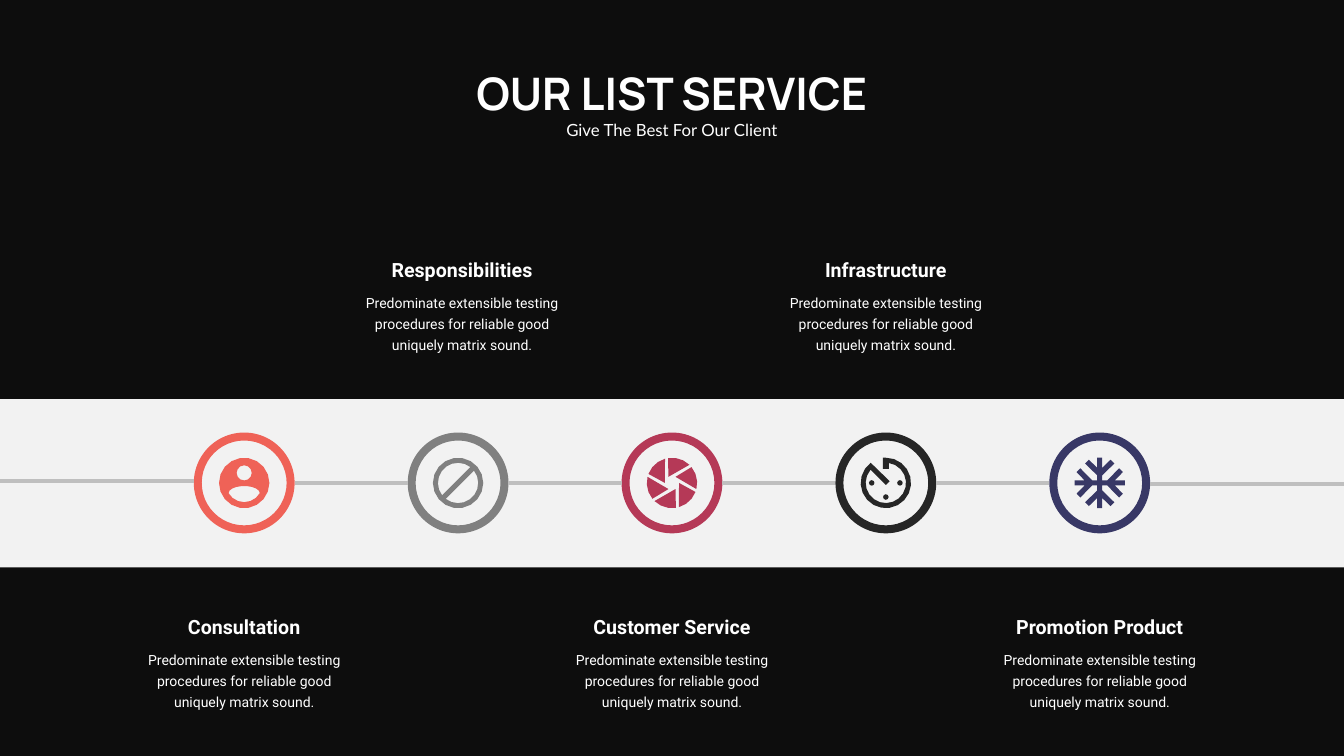
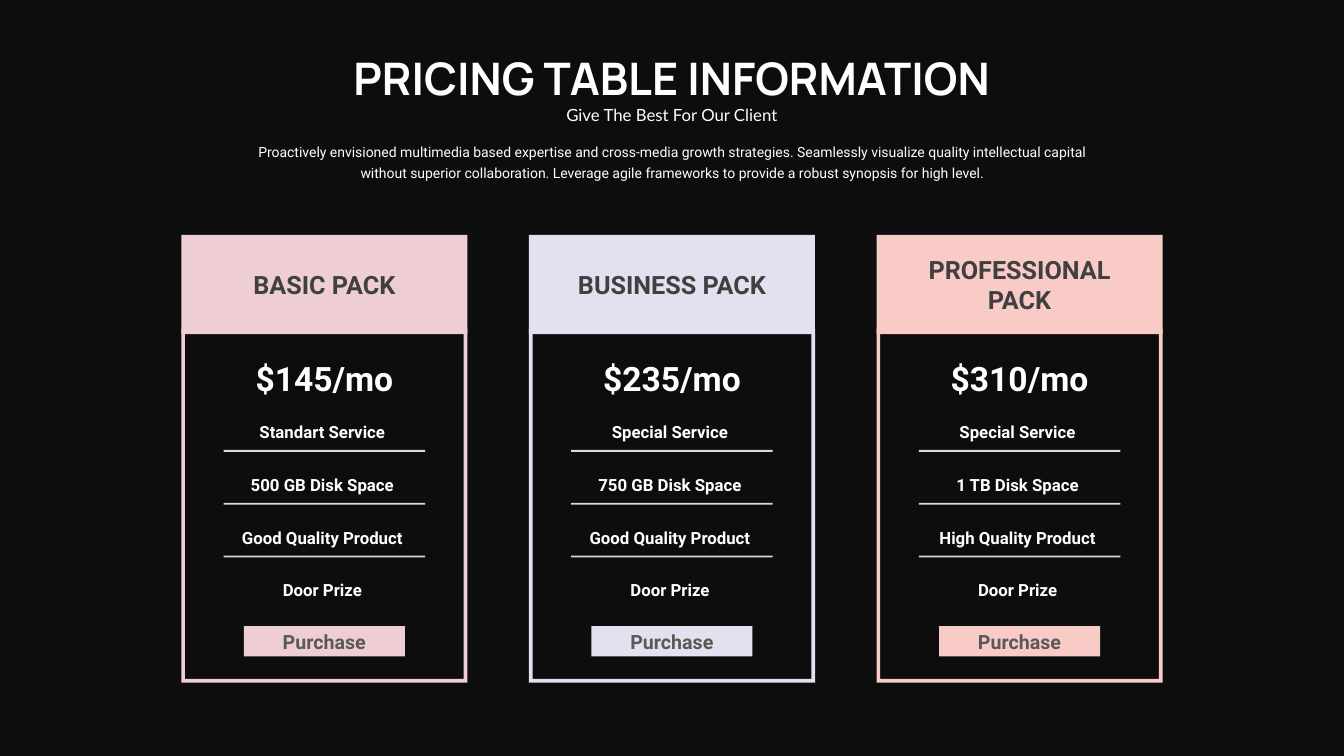
from dataclasses import dataclass
from math import ceil, cos, radians, sin

from lxml.etree import SubElement
from pptx import Presentation
from pptx.dml.color import RGBColor
from pptx.enum.shapes import MSO_CONNECTOR, MSO_SHAPE
from pptx.enum.text import MSO_ANCHOR, PP_ALIGN
from pptx.oxml.ns import qn
from pptx.util import Cm, Pt


@dataclass(frozen=True)
class Theme:
    backdrop: str = "0D0D0D"
    white: str = "FFFFFF"
    band: str = "F2F2F2"
    link: str = "BFBFBF"
    rule: str = "D9D9D9"
    pack_text: str = "404040"
    button_text: str = "595959"
    coral: str = "EF6257"
    gray: str = "808080"
    crimson: str = "B53957"
    charcoal: str = "262626"
    navy: str = "383866"
    pink: str = "EFCDD5"
    lavender: str = "E1E1EF"
    peach: str = "F9CBC7"
    title_font: str = "Manrope"
    subtitle_font: str = "Lato"
    body_font: str = "Roboto"
    title: int = 32
    price: int = 24
    pack: int = 18
    heading: int = 14
    label: int = 12
    body: int = 10
    title_leading: int = 35
    body_leading: int = 15


T = Theme()
WIDTH, HEIGHT = 33.87, 19.05
MIDDLE = WIDTH / 2


def color(value):
    return RGBColor.from_string(value)


def write(sp, text, size=T.body, fill=T.white, font=T.body_font, bold=False,
          leading=None, anchor=MSO_ANCHOR.TOP):
    tf = sp.text_frame
    tf.word_wrap = True
    tf.vertical_anchor = anchor
    tf.margin_left = tf.margin_right = tf.margin_top = tf.margin_bottom = 0
    p = tf.paragraphs[0]
    p.alignment = PP_ALIGN.CENTER
    if leading:
        p.line_spacing = Pt(leading)
    r = p.add_run()
    r.text = text
    r.font.name = font
    r.font.size = Pt(size)
    r.font.bold = bold
    r.font.color.rgb = color(fill)


def arc(cx, cy, radius, start, end, ry=None, step=20):
    count = ceil(abs(end - start) / step)
    angles = [radians(start + (end - start) * i / count) for i in range(count + 1)]
    return [(cx + radius * cos(a), cy + (ry or radius) * sin(a)) for a in angles]


def circle(cx, cy, radius, step=20):
    return arc(cx, cy, radius, 0, 360, step=step)[:-1]


def person_icon():
    torso = arc(0, 0.04, 0.72, 30, 150) + arc(0, 0.4, 0.62, 180, 360, ry=0.28)
    return [circle(0, 0, 1), circle(0, -0.4, 0.3, 30), torso]


def ban_icon():
    return [circle(0, 0, 1), arc(0, 0, 0.8, -37.8, 127.8),
            arc(0, 0, 0.8, 142.2, 307.8)]


def shutter_icon():
    inner = circle(0, 0, 0.28, 60)
    return [arc(0, 0, 1, 21 + 60 * i, 74 + 60 * i) + [(x, y)]
            for i, (x, y) in enumerate(arc(0, 0, 0.28, 0, 300, step=60))]


def timer_icon():
    dial = (arc(0, 0, 1, -90, 233)
            + [(0.15, -0.07), (0, 0.08), (-0.6, -0.52)]
            + arc(0, 0, 0.8, 220, -81)
            + [(0.12, -0.56), (-0.12, -0.56), (-0.12, -1)])
    dots = [(-0.56, 0), (0.56, 0), (0, 0.56)]
    return [dial] + [circle(x, y, 0.11, 45) for x, y in dots]


def snowflake_icon():
    quarter = [(1, -0.1), (1, 0.1), (0.6, 0.1), (0.92, 0.43), (0.77, 0.58),
               (0.3, 0.1), (0.1, 0.1), (0.1, 0.3), (0.58, 0.77),
               (0.43, 0.92), (0.1, 0.6)]
    outline = []
    for _ in range(4):
        outline += quarter
        quarter = [(-y, x) for x, y in quarter]
    return [outline]


class Deck:
    def __init__(self):
        self.prs = Presentation()
        self.prs.slide_width = Cm(WIDTH)
        self.prs.slide_height = Cm(HEIGHT)
        self.slide()
        backdrop = self.rect(MIDDLE, 0, WIDTH, HEIGHT, T.backdrop)
        self.prs.slide_master.shapes._spTree.insert(2, backdrop._element)

    def slide(self):
        self.s = self.prs.slides.add_slide(self.prs.slide_layouts[6])

    def paint(self, sp, fill):
        sp.shadow.inherit = False
        sp.fill.solid()
        sp.fill.fore_color.rgb = color(fill)
        sp.line.fill.background()

    def shape(self, kind, cx, top, w, h, fill, adjust=None):
        sp = self.s.shapes.add_shape(kind, Cm(cx - w / 2), Cm(top), Cm(w), Cm(h))
        self.paint(sp, fill)
        if adjust is not None:
            sp.adjustments[0] = adjust
        return sp

    def rect(self, cx, top, w, h, fill):
        return self.shape(MSO_SHAPE.RECTANGLE, cx, top, w, h, fill)

    def text(self, text, cx, top, w, h, **style):
        sp = self.s.shapes.add_textbox(Cm(cx - w / 2), Cm(top), Cm(w), Cm(h))
        write(sp, text, **style)

    def title(self, title, subtitle, top):
        self.text(title, MIDDLE, top, 18.39, 1.24, size=T.title, bold=True,
                  font=T.title_font, leading=T.title_leading,
                  anchor=MSO_ANCHOR.MIDDLE)
        self.text(subtitle, MIDDLE, top + 1.25, 10.72, 0.51, size=T.label,
                  font=T.subtitle_font)

    def line(self, x1, x2, y):
        c = self.s.shapes.add_connector(MSO_CONNECTOR.STRAIGHT,
                                        Cm(x1), Cm(y), Cm(x2), Cm(y))
        c.line.color.rgb = color(T.link)
        c.line.width = Pt(3)
        SubElement(c._element.spPr, qn("a:effectLst"))

    def icon(self, contours, cx, cy, radius, fill):
        placed = [[(Cm(cx + x * radius), Cm(cy + y * radius)) for x, y in contour]
                  for contour in contours]
        first, *others = placed
        fb = self.s.shapes.build_freeform(*first[0])
        fb.add_line_segments(first[1:])
        for contour in others:
            fb.move_to(*contour[0])
            fb.add_line_segments(contour[1:])
        self.paint(fb.convert_to_shape(), fill)

    def service(self, name, description, cx, top):
        self.text(name, cx, top, 5.49, 0.61, size=T.heading, bold=True)
        self.text(description, cx, top + 0.82, 5.49, 1.55, leading=T.body_leading)

    def pack(self, cx, name, price, features, fill):
        self.shape(MSO_SHAPE.FRAME, cx, 8.28, 7.21, 8.92, fill, 0.013)
        self.rect(cx, 5.92, 7.21, 2.5, fill)
        self.rect(cx, 15.78, 4.06, 0.76, fill)
        self.text("Purchase", cx, 15.88, 3.56, 0.61, size=T.heading,
                  fill=T.button_text, bold=True)
        self.text(name, cx, 6.79, 6.05, 0.76, size=T.pack, fill=T.pack_text,
                  bold=True, anchor=MSO_ANCHOR.MIDDLE)
        for i, feature in enumerate(features):
            top = 10.63 + 1.33 * i
            if i < len(features) - 1:
                self.rect(cx, top + 0.71, 5.08, 0.05, T.rule)
            self.text(feature, cx - 0.05, top, 4.83, 0.51, size=T.label, bold=True)
        self.text(price, cx, 9.02, 4.11, 1.02, size=T.price, bold=True,
                  anchor=MSO_ANCHOR.MIDDLE)


SUBTITLE = "Give The Best For Our Client"


def services_slide(deck):
    services = [
        ("Consultation", person_icon, T.coral, 0),
        ("Responsibilities", ban_icon, T.gray, 0.1),
        ("Customer Service", shutter_icon, T.crimson, 0),
        ("Infrastructure", timer_icon, T.charcoal, 0),
        ("Promotion Product", snowflake_icon, T.navy, 0),
    ]
    description = ("Predominate extensible testing procedures for reliable good "
                   "uniquely matrix sound.")
    pitch, axis, ring = 5.39, 12.17, 2.54
    centers = [MIDDLE + (i - 2) * pitch for i in range(len(services))]
    deck.rect(MIDDLE, 10.06, WIDTH, 4.24, T.band)
    deck.title("OUR LIST SERVICE", SUBTITLE, 1.78)
    for i, (cx, (name, icon, fill, shift)) in enumerate(zip(centers, services)):
        deck.service(name, description, cx + shift, 6.5 if i % 2 else 15.49)
        deck.shape(MSO_SHAPE.DONUT, cx, axis - ring / 2, ring, ring, fill, 0.079)
        deck.icon(icon(), cx, axis, ring / 4, fill)
    starts = [0] + [cx + ring / 2 for cx in centers]
    ends = [cx - ring / 2 for cx in centers] + [WIDTH]
    heights = [12.12] + [axis] * (len(centers) - 1) + [12.2]
    for start, end, y in zip(starts, ends, heights):
        deck.line(start, end, y)


def pricing_slide(deck):
    packs = [
        ("BASIC PACK", "$145/mo",
         ["Standart Service", "500 GB Disk Space", "Good Quality Product"], T.pink),
        ("BUSINESS PACK", "$235/mo",
         ["Special Service", "750 GB Disk Space", "Good Quality Product"], T.lavender),
        ("PROFESSIONAL PACK", "$310/mo",
         ["Special Service", "1 TB Disk Space", "High Quality Product"], T.peach),
    ]
    deck.slide()
    for i, (name, price, features, fill) in enumerate(packs):
        deck.pack(MIDDLE + (i - 1) * 8.76, name, price,
                  features + ["Door Prize"], fill)
    deck.text("Proactively envisioned multimedia based expertise and cross-media "
              "growth strategies. Seamlessly visualize quality intellectual capital "
              "without superior collaboration. Leverage agile frameworks to provide "
              "a robust synopsis for high level.",
              MIDDLE, 3.51, 21.13, 1.02, leading=T.body_leading)
    deck.title("PRICING TABLE INFORMATION", SUBTITLE, 1.39)


def main():
    deck = Deck()
    services_slide(deck)
    pricing_slide(deck)
    deck.prs.save("out.pptx")


if __name__ == "__main__":
    main()
